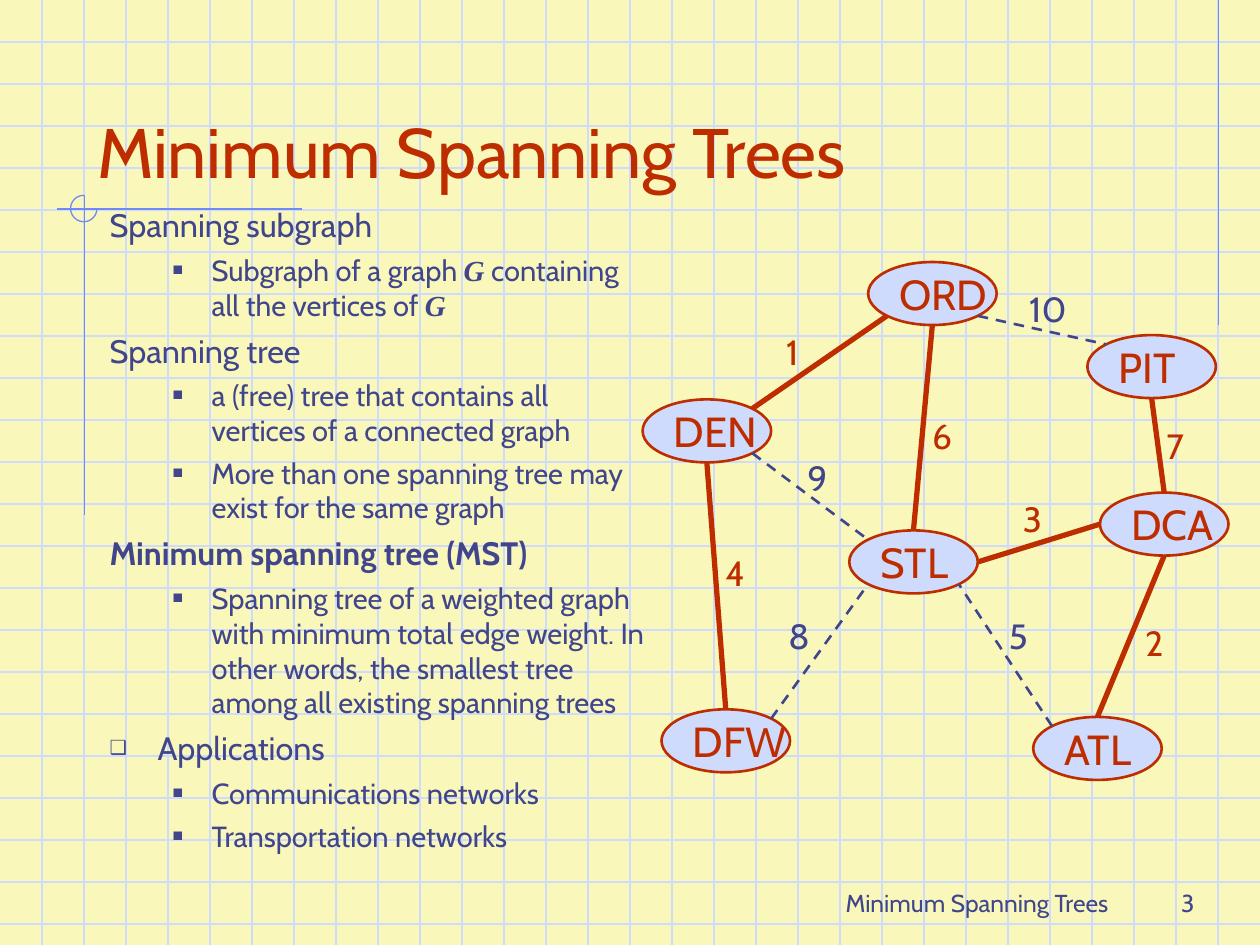
from math import cos, pi, sin

from lxml.etree import SubElement
from pptx import Presentation
from pptx.dml.color import RGBColor
from pptx.enum.dml import MSO_LINE
from pptx.enum.shapes import MSO_CONNECTOR, MSO_SHAPE
from pptx.enum.text import MSO_ANCHOR, MSO_AUTO_SIZE, PP_ALIGN
from pptx.oxml.ns import qn
from pptx.util import Inches, Pt

PAPER = RGBColor(0xF9, 0xF8, 0xBA)
PALE = RGBColor(0xCF, 0xDB, 0xFD)
BLUE = RGBColor(0x6F, 0x89, 0xF7)
NAVY = RGBColor(0x40, 0x45, 0x8C)
RED = RGBColor(0xBE, 0x2D, 0x00)

LEFT, CENTER, RIGHT = PP_ALIGN.LEFT, PP_ALIGN.CENTER, PP_ALIGN.RIGHT
TOP, MIDDLE, BOTTOM = MSO_ANCHOR.TOP, MSO_ANCHOR.MIDDLE, MSO_ANCHOR.BOTTOM
FIXED, GROW = MSO_AUTO_SIZE.NONE, MSO_AUTO_SIZE.SHAPE_TO_FIT_TEXT
STRAIGHT, DASH = MSO_CONNECTOR.STRAIGHT, MSO_LINE.DASH
OVAL, ARC = MSO_SHAPE.OVAL, MSO_SHAPE.ARC

TITLE = "Minimum Spanning Trees"
SANS = {"name": "Cabin", "bold": False, "italic": False}
MATH = {"name": "Times New Roman", "bold": True, "italic": True}
BOLD = SANS | {"bold": True}

# Margin, indent, space before and text size of each list level
LEVELS = [(0.38, -0.38, 5, 18.5), (0.81, -0.31, 4.5, 16.6)]
# Level, bullet, runs
LIST = [
    (0, None, [("Spanning subgraph", SANS)]),
    (1, "■", [("Subgraph of a graph ", SANS), ("G", MATH),
              (" containing all the vertices of ", SANS), ("G", MATH)]),
    (0, None, [("Spanning tree", SANS)]),
    (1, "■", [("a (free) tree that contains all vertices of a connected graph", SANS)]),
    (1, "■", [("More than one spanning tree may exist for the same graph", SANS)]),
    (0, None, [("Minimum spanning tree (MST)", BOLD)]),
    (1, "■", [("Spanning tree of a weighted graph with minimum total edge weight. "
               "In other words, the smallest tree among all existing spanning trees", SANS)]),
    (0, "❑", [("Applications", SANS)]),
    (1, "■", [("Communications networks", SANS)]),
    (1, "■", [("Transportation networks", SANS)]),
]

NODE_W, NODE_H = 1.02, 0.5
NODES = {"ORD": (1.79, 0), "PIT": (3.53, 0.58), "ATL": (3.1, 3.61), "STL": (1.64, 2.13),
         "DEN": (0, 1.09), "DFW": (0.15, 3.55), "DCA": (3.63, 1.83)}
# Compass sites on a node, clockwise from east
SITES = ["E", "SE", "S", "SW", "W", "NW", "N", "NE"]
# From node and site, to node and site, weight, label place, in the tree or not
EDGES = [
    ("DEN", "NE", "ORD", "SW", 1, (1.04, 0.49), True),
    ("STL", "N", "ORD", "S", 6, (2.2, 1.16), True),
    ("STL", "E", "DCA", "W", 3, (2.92, 1.82), True),
    ("DCA", "N", "PIT", "S", 7, (4.06, 1.24), True),
    ("ORD", "SE", "PIT", "NW", 10, (2.97, 0.15), False),
    ("DEN", "S", "DFW", "N", 4, (0.56, 2.25), True),
    ("DCA", "S", "ATL", "N", 2, (3.89, 2.8), True),
    ("ATL", "NW", "STL", "SE", 5, (2.81, 2.75), False),
    ("DFW", "NE", "STL", "SW", 8, (1.06, 2.75), False),
    ("DEN", "SE", "STL", "NW", 9, (1.21, 1.49), False),
]


def put(thing, form):
    for key, value in form.items():
        setattr(thing, key, value)


def place(shape, box):
    put(shape, dict(zip(("left", "top", "width", "height"), map(Inches, box))))


def frame(shape, anchor=TOP, wrap=True, fit=FIXED):
    text = shape.text_frame
    put(text, {"auto_size": fit, "word_wrap": wrap, "vertical_anchor": anchor})
    return text


def write(para, words, size, color, form=SANS):
    run = para.add_run()
    run.text = words
    put(run.font, form | {"size": Pt(size)})
    run.font.color.rgb = color


def say(shape, words, size, color, align=LEFT, **kind):
    """Put one formatted line of text in a shape."""
    para = frame(shape, **kind).paragraphs[0]
    para.alignment = align
    write(para, words, size, color)


def draw(slide, start, end, color, width=0.75, dash=None):
    line = slide.shapes.add_connector(STRAIGHT, *map(Inches, (*start, *end)))
    put(line.line, {"width": Pt(width), "dash_style": dash})
    line.line.color.rgb = color
    SubElement(line._element.spPr, qn("a:effectLst"))


def grid(slide, box, step=1 / 3):
    x, y, w, h = box
    for i in range(1, round(h / step + 0.5)):
        draw(slide, (x, y + i * step), (x + w, y + i * step), PALE)
    for i in range(1, round(w / step)):
        draw(slide, (x + i * step, y), (x + i * step, y + h), PALE)


def trim(slide, box):
    """Draw the blue rules and the ring where two of them cross."""
    x, y, w, h = box
    draw(slide, (x + w, y), (x + w, y + 2.58), BLUE)
    draw(slide, (x + 1.73, y + 1.66), (x - 0.22, y + 1.66), BLUE)
    draw(slide, (x, y + 1.55), (x, y + h), BLUE)
    ring = slide.shapes.add_shape(ARC, *map(Inches, (x - 0.11, y + 1.55, 0.21, 0.21)))
    ring.adjustments[0], ring.adjustments[1] = 0, 162
    ring.shadow.inherit = False
    ring.fill.background()
    ring.line.color.rgb = BLUE
    ring.line.width = Pt(0.75)


def footer(slide, box):
    x, y, w, h = box
    parts = [(TITLE, CENTER, x, 3.17), ("3", RIGHT, x + w - 2.08, 2.08)]
    for words, align, left, width in parts:
        note = slide.shapes.add_textbox(*map(Inches, (left, y, width, h)))
        say(note, words, 14, NAVY, align, anchor=BOTTOM)


def heading(slide, box):
    title = slide.shapes.title
    slide.shapes._spTree.append(title._element)
    place(title, box)
    say(title, TITLE, 40, RED, anchor=BOTTOM)


def mark(para, sign):
    """Give a paragraph a bullet, or none."""
    props = para._p.get_or_add_pPr()
    if not sign:
        SubElement(props, qn("a:buNone"))
        return
    SubElement(SubElement(props, qn("a:buClr")), qn("a:srgbClr"), val=str(NAVY))
    SubElement(props, qn("a:buSzPct"), val="60000")
    SubElement(props, qn("a:buChar"), char=sign)


def outline(slide, box):
    body = slide.placeholders[1]
    slide.shapes._spTree.append(body._element)
    place(body, box)
    text = frame(body)
    for i, (level, sign, runs) in enumerate(LIST):
        para = text.add_paragraph() if i else text.paragraphs[0]
        margin, indent, space, size = LEVELS[level]
        mark(para, sign)
        put(para, {"level": level, "alignment": LEFT, "space_before": Pt(space if i else 0)})
        props = para._p.get_or_add_pPr()
        props.set("marL", str(Inches(margin)))
        props.set("indent", str(Inches(indent)))
        for words, form in runs:
            write(para, words, size, NAVY, form)


def graph(slide, box):
    x, y = box[:2]

    def site(node, side):
        left, top = NODES[node]
        turn = SITES.index(side) * pi / 4
        return (x + left + NODE_W / 2 * (1 + cos(turn)),
                y + top + NODE_H / 2 * (1 + sin(turn)))

    for name, (left, top) in NODES.items():
        node = slide.shapes.add_shape(OVAL, *map(Inches, (x + left, y + top, NODE_W, NODE_H)))
        node.shadow.inherit = False
        node.fill.solid()
        node.fill.fore_color.rgb = PALE
        node.line.color.rgb = RED
        node.line.width = Pt(1.5)
        say(node, name, 24, RED, anchor=MIDDLE, wrap=False)
    for start, out, end, into, weight, (left, top), tree in EDGES:
        color, width, dash = (RED, 3, None) if tree else (NAVY, 1.5, DASH)
        draw(slide, site(start, out), site(end, into), color, width, dash)
        wide = 0.36 if weight < 10 else 0.52
        label = slide.shapes.add_textbox(*map(Inches, (x + left, y + top, wide, 0.44)))
        say(label, str(weight), 20, color, wrap=False, fit=GROW)


def main():
    deck = Presentation()
    put(deck, {"slide_width": Inches(10), "slide_height": Inches(7.5)})
    slide = deck.slides.add_slide(deck.slide_layouts[1])
    slide.background.fill.solid()
    slide.background.fill.fore_color.rgb = PAPER
    grid(slide, (0, 0, 10, 7.5))
    trim(slide, (0.67, 0, 9, 4.09))
    footer(slide, (6.17, 6.83, 3.41, 0.5))
    heading(slide, (0.67, 0.33, 8.99, 1.25))
    outline(slide, (0.77, 1.58, 4.47, 5.92))
    graph(slide, (5.1, 2.08, 4.65, 4.11))
    deck.save("out.pptx")


if __name__ == "__main__":
    main()
